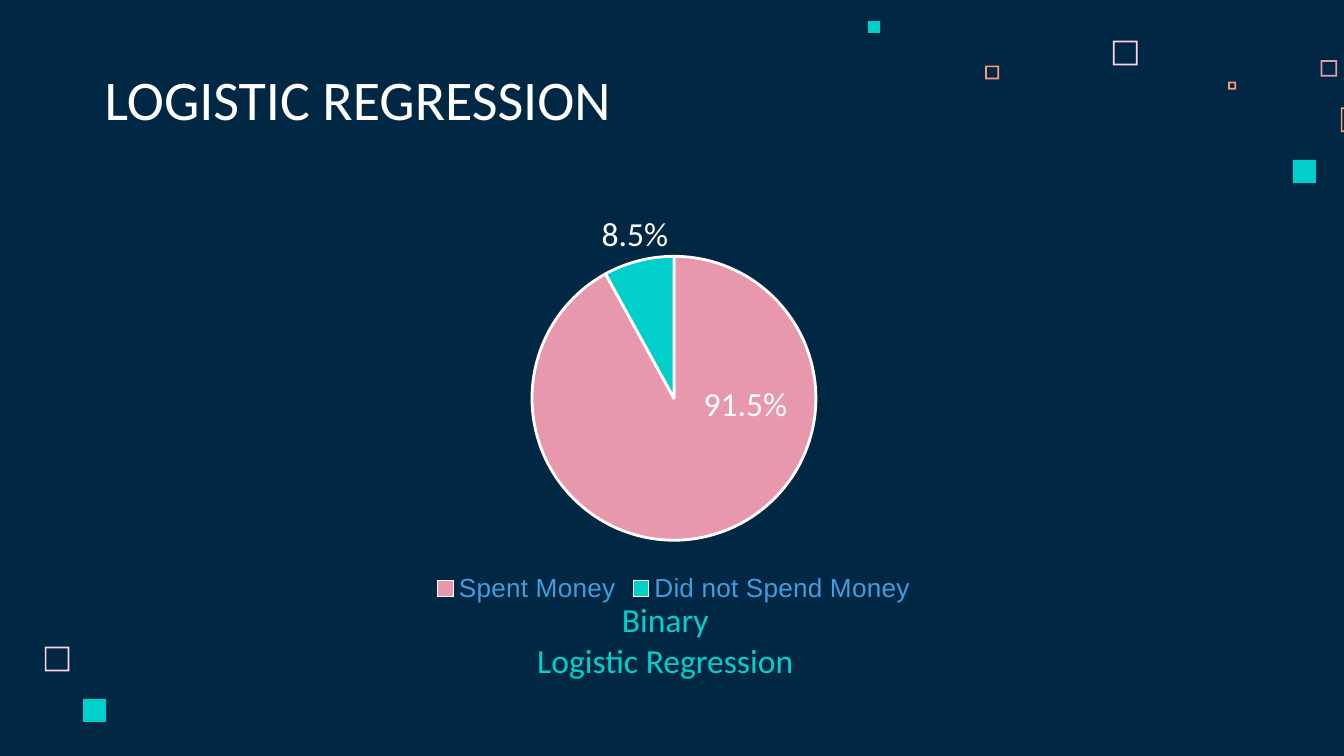
from typing import NamedTuple

from pptx import Presentation
from pptx.chart.data import CategoryChartData
from pptx.dml.color import RGBColor
from pptx.enum import chart as charts, shapes, text
from pptx.slide import Slide
from pptx.util import Pt

NAVY = RGBColor(0x00, 0x28, 0x45)
WHITE = RGBColor(0xFF, 0xFF, 0xFF)
TEAL = RGBColor(0x00, 0xCF, 0xCC)
ROSE = RGBColor(0xE8, 0x98, 0xAC)
BLUSH = RGBColor(0xFF, 0xD6, 0xE1)
ORANGE = RGBColor(0xFF, 0x99, 0x73)
BLUE = RGBColor(0x43, 0x9D, 0xDD)

FRAME_THICKNESS = 0.9
TEXT_INSET = 7.2


class Square(NamedTuple):
    left: float
    top: float
    size: float
    color: RGBColor
    hollow: bool = True


class Label(NamedTuple):
    lines: tuple[str, ...]
    left: float
    top: float
    width: float
    height: float
    color: RGBColor = WHITE
    size: float = 18
    align: text.PP_ALIGN = text.PP_ALIGN.CENTER


SQUARES = (
    Square(596.2, 21.8, 13.2, BLUSH),
    Square(707.5, 32.3, 8.8, ROSE),
    Square(658, 43.8, 4.2, ORANGE),
    Square(718.3, 57.6, 13.2, ORANGE),
    Square(692.6, 85.7, 12.4, TEAL, hollow=False),
    Square(527.8, 35.1, 7.4, ORANGE),
    Square(465.1, 11.3, 6.4, TEAL, hollow=False),
    Square(24, 346.5, 13.2, BLUSH),
    Square(44.5, 374.4, 12.4, TEAL, hollow=False),
)

LABELS = (
    Label(("LOGISTIC REGRESSION",), 49, 32.4, 372.2, 45.4,
          size=30, align=text.PP_ALIGN.LEFT),
    Label(("8.5%",), 281.5, 88.6, 117.4, 54),
    Label(("91.5%",), 340.6, 180, 117.4, 54),
    Label(("Binary", "Logistic Regression"), 263.5, 321.1, 185.8, 50.4, TEAL),
)

SLICES = (("Spent Money", 92, ROSE), ("Did not Spend Money", 8, TEAL))


def draw_square(slide: Slide, square: Square) -> None:
    kind = shapes.MSO_SHAPE.FRAME if square.hollow else shapes.MSO_SHAPE.RECTANGLE
    shape = slide.shapes.add_shape(
        kind, Pt(square.left), Pt(square.top), Pt(square.size), Pt(square.size))
    if square.hollow:
        shape.adjustments[0] = FRAME_THICKNESS / square.size
    shape.shadow.inherit = False
    shape.fill.solid()
    shape.fill.fore_color.rgb = square.color
    shape.line.fill.background()


def draw_label(slide: Slide, label: Label) -> None:
    box = slide.shapes.add_textbox(
        Pt(label.left), Pt(label.top), Pt(label.width), Pt(label.height))
    frame = box.text_frame
    frame.word_wrap = True
    frame.vertical_anchor = text.MSO_ANCHOR.BOTTOM
    frame.margin_left = frame.margin_right = Pt(TEXT_INSET)
    frame.margin_top = frame.margin_bottom = Pt(TEXT_INSET)
    frame.text = "\n".join(label.lines)
    for paragraph in frame.paragraphs:
        paragraph.alignment = label.align
        paragraph.font.name = "Calibri"
        paragraph.font.size = Pt(label.size)
        paragraph.font.color.rgb = label.color


def draw_pie(slide: Slide) -> None:
    data = CategoryChartData()
    data.categories = [name for name, _, _ in SLICES]
    data.add_series("Series 1", [value for _, value, _ in SLICES])
    chart = slide.shapes.add_chart(
        charts.XL_CHART_TYPE.PIE, Pt(191.5), Pt(127.4), Pt(339.1), Pt(198.7), data).chart
    chart.has_title = False
    chart.font.name = "Arial"
    chart.font.size = Pt(14)
    chart.font.color.rgb = BLUE
    chart.has_legend = True
    chart.legend.position = charts.XL_LEGEND_POSITION.BOTTOM
    chart.legend.include_in_layout = False
    chart.plots[0].vary_by_categories = True
    points = chart.plots[0].series[0].points
    for index, (_, _, color) in enumerate(SLICES):
        style = points[index].format
        style.fill.solid()
        style.fill.fore_color.rgb = color
        style.line.color.rgb = WHITE
        style.line.width = Pt(1.5)


def main() -> None:
    presentation = Presentation()
    presentation.slide_width, presentation.slide_height = Pt(720), Pt(405)
    slide = presentation.slides.add_slide(presentation.slide_layouts[6])
    slide.background.fill.solid()
    slide.background.fill.fore_color.rgb = NAVY
    for square in SQUARES:
        draw_square(slide, square)
    draw_pie(slide)
    for label in LABELS:
        draw_label(slide, label)
    presentation.save("out.pptx")


if __name__ == "__main__":
    main()
